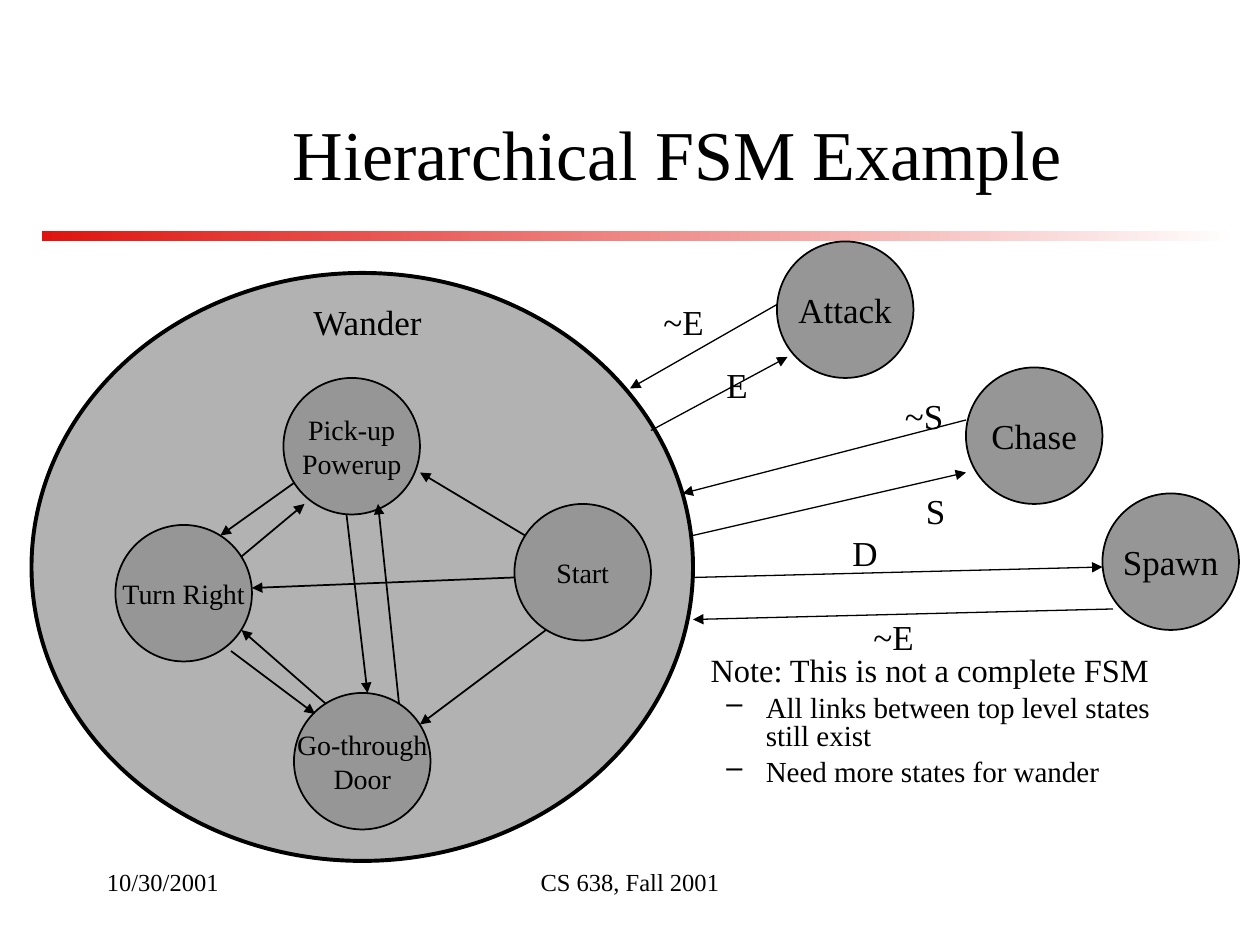
import pptx
import pptx.util
import pptx.dml.color
import pptx.enum.shapes
import pptx.enum.text
import pptx.oxml.ns
from lxml import etree

BLACK = pptx.dml.color.RGBColor(0x00, 0x00, 0x00)
WHITE = pptx.dml.color.RGBColor(0xFF, 0xFF, 0xFF)
RED = pptx.dml.color.RGBColor(0xDF, 0x14, 0x0F)
LIGHT_GRAY = pptx.dml.color.RGBColor(0xB2, 0xB2, 0xB2)
GRAY = pptx.dml.color.RGBColor(0x96, 0x96, 0x96)

FONT = "Times New Roman"
STATE_SIZE = 13
LABEL_HEIGHT = 5.25
SHAPE = pptx.enum.shapes.MSO_SHAPE
LEFT = pptx.enum.text.PP_ALIGN.LEFT
CENTER = pptx.enum.text.PP_ALIGN.CENTER
TOP = pptx.enum.text.MSO_ANCHOR.TOP
MIDDLE = pptx.enum.text.MSO_ANCHOR.MIDDLE
FIT_SHAPE = pptx.enum.text.MSO_AUTO_SIZE.SHAPE_TO_FIT_TEXT


def grid(steps):
    """Length of a number of grid steps; the slide is 120 by 90 steps."""
    return pptx.util.Cm(steps * 25.4 / 120)


def style_paragraph(para, text, size, align=LEFT):
    para.text = text
    para.alignment = align
    para.font.name = FONT
    para.font.size = pptx.util.Pt(size)
    para.font.color.rgb = BLACK


def add_text(page, box, text, size, align=LEFT, anchor=TOP):
    frame = page.shapes.add_textbox(*map(grid, box)).text_frame
    frame.word_wrap = True
    frame.vertical_anchor = anchor
    style_paragraph(frame.paragraphs[0], text, size, align)
    return frame


def add_ellipse(page, box, color, line_width):
    ellipse = page.shapes.add_shape(SHAPE.OVAL, *map(grid, box))
    ellipse.shadow.inherit = False
    ellipse.fill.solid()
    ellipse.fill.fore_color.rgb = color
    ellipse.line.color.rgb = BLACK
    ellipse.line.width = pptx.util.Pt(line_width)
    return ellipse


def add_state(page, left, top, lines, size):
    state = add_ellipse(page, (left, top, STATE_SIZE, STATE_SIZE), GRAY, 1)
    frame = state.text_frame
    frame.word_wrap = False
    frame.vertical_anchor = MIDDLE
    for index, line in enumerate(lines):
        para = frame.add_paragraph() if index else frame.paragraphs[0]
        style_paragraph(para, line, size, CENTER)


def add_arrow(page, start_x, start_y, end_x, end_y, width):
    arrow = page.shapes.add_connector(
        pptx.enum.shapes.MSO_CONNECTOR.STRAIGHT,
        *map(grid, (start_x, start_y, end_x, end_y)))
    arrow.line.color.rgb = BLACK
    arrow.line.width = pptx.util.Pt(width)
    qn = pptx.oxml.ns.qn
    properties = arrow._element.spPr
    etree.SubElement(properties.get_or_add_ln(), qn("a:tailEnd"), type="triangle")
    etree.SubElement(properties, qn("a:effectLst"))


def add_machine(page, box, states, arrows, text_size, line_width):
    """Place states and their transitions relative to the corner of box."""
    left, top = box[:2]
    for x, y, lines in states:
        add_state(page, left + x, top + y, lines, text_size)
    for start_x, start_y, end_x, end_y in arrows:
        add_arrow(page, left + start_x, top + start_y,
                  left + end_x, top + end_y, line_width)


def add_header(page, box):
    left, top, width, height = box
    rule = page.shapes.add_shape(
        SHAPE.RECTANGLE, *map(grid, (left, top + height - 1, width, 1)))
    rule.shadow.inherit = False
    rule.line.fill.background()
    rule.fill.gradient()
    rule.fill.gradient_angle = 0
    for stop, color, position in zip(rule.fill.gradient_stops, (RED, WHITE), (0, 1)):
        stop.color.rgb = color
        stop.position = position
    add_text(page, (left + 12, top, 97, 13), "Hierarchical FSM Example",
             40, CENTER, MIDDLE)


def add_wander(page, box):
    left, top = box[:2]
    add_ellipse(page, box, LIGHT_GRAY, 2.25)
    states = [
        (46, 22, ["Start"]),
        (8, 24, ["Turn Right"]),
        (25, 40, ["Go-through", "Door"]),
        (24, 10, ["Pick-up", "Powerup"]),
    ]
    arrows = [
        (49, 34, 37, 43), (47, 25, 37, 19), (46, 29, 21, 30),
        (30, 23, 32, 40), (25, 20, 18, 25), (19, 36, 27, 42),
        (20, 27, 26, 22), (28, 41, 20, 34), (35, 41, 33, 22),
    ]
    add_machine(page, box, states, arrows, 16, 1)
    add_text(page, (left + 21, top + 2, 22, LABEL_HEIGHT), "Wander", 20, CENTER)


def add_top_level(page, box):
    left, top = box[:2]
    states = [(14, 0, ["Attack"]), (32, 12, ["Chase"]), (45, 24, ["Spawn"])]
    arrows = [
        (14, 6, 0, 14), (2, 18, 15, 11), (32, 17, 5, 24),
        (6, 28, 32, 22), (6, 32, 45, 31), (46, 35, 6, 36),
    ]
    labels = [
        (2, 5, 6.3, "~E"), (8, 11, 4.5, "E"), (25, 14, 6.1, "~S"),
        (27, 23, 4.3, "S"), (20, 27, 4.9, "D"), (22, 35, 6.3, "~E"),
    ]
    add_machine(page, box, states, arrows, 20, 0.75)
    for x, y, width, text in labels:
        frame = add_text(page, (left + x, top + y, width, LABEL_HEIGHT), text, 20)
        frame.word_wrap = False
        frame.auto_size = FIT_SHAPE


def add_note(page, box):
    frame = add_text(page, box, "Note: This is not a complete FSM", 18.5)
    heading = frame.paragraphs[0]
    heading.space_before = pptx.util.Pt(5)
    heading._p.get_or_add_pPr().set("marL", str(grid(4.5)))
    for text in ("All links between top level states still exist",
                 "Need more states for wander"):
        para = frame.add_paragraph()
        style_paragraph(para, text, 16.6)
        para.level = 1
        para.space_before = pptx.util.Pt(4.5)
        properties = para._p.get_or_add_pPr()
        properties.set("marL", str(grid(9.75)))
        properties.set("indent", str(-grid(3.75)))
    for para in frame.paragraphs:
        para.line_spacing = 0.8
    for para in frame.paragraphs[1:]:
        etree.SubElement(para._p.pPr, pptx.oxml.ns.qn("a:buChar"), char="–")


def add_footer(page, box):
    left, top, width, height = box
    add_text(page, (left + 32, top, 38, height), "CS 638, Fall 2001", 14, CENTER)
    add_text(page, (left, top, 25, height), "10/30/2001", 14)


def main():
    deck = pptx.Presentation()
    deck.slide_width = grid(120)
    deck.slide_height = grid(90)
    page = deck.slides.add_slide(deck.slide_layouts[6])
    add_header(page, (4, 8, 114, 15))
    add_note(page, (62, 62, 51, 16))
    add_wander(page, (3, 26, 63, 56))
    add_top_level(page, (60, 23, 58, 40))
    add_footer(page, (9, 82, 102, 6))
    deck.save("out.pptx")


if __name__ == "__main__":
    main()
